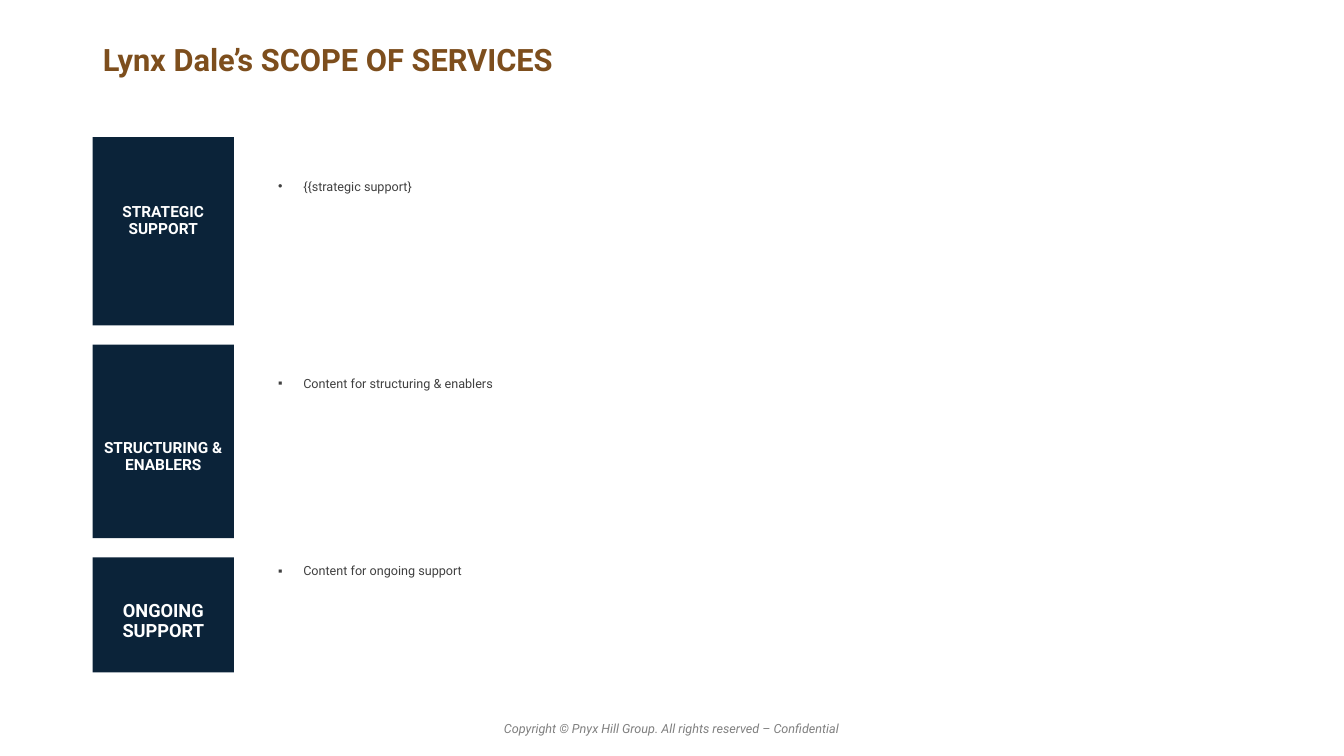
from dataclasses import dataclass

from lxml.etree import SubElement
from pptx import Presentation
from pptx.dml.color import RGBColor
from pptx.enum.shapes import MSO_SHAPE
from pptx.enum.text import MSO_ANCHOR, MSO_AUTO_SIZE, PP_ALIGN
from pptx.oxml.ns import qn
from pptx.slide import Slide
from pptx.text.text import TextFrame, _Paragraph
from pptx.util import Inches, Pt

WIDE, HIGH = Inches(13.33), Inches(7.5)
FACE = "Roboto"
COLOR = {
    "navy": "0B2339",
    "brown": "7D4E1D",
    "white": "FFFFFF",
    "body": "404040",
    "grey": "808080",
}
LEFT = 6.9
LABEL = 10.5
TEXT = 19.95
SPAN = 75.7
PAD = 0.05


@dataclass(frozen=True)
class Box:
    left: float
    top: float
    width: float
    height: float

    def place(self) -> tuple[int, int, int, int]:
        return (
            int(WIDE * self.left / 100),
            int(HIGH * self.top / 100),
            int(WIDE * self.width / 100),
            int(HIGH * self.height / 100),
        )


@dataclass(frozen=True)
class Style:
    size: float
    color: str
    bold: bool = False
    slant: bool = False


@dataclass(frozen=True)
class Service:
    label: str
    size: float
    top: float
    height: float
    shift: float
    note: str
    note_top: float
    note_height: float
    note_pad: float
    mark: str
    line: float


SERVICES = [
    Service("STRATEGIC SUPPORT", 11, 18.13, 24.93, -0.21,
            "{{strategic support}", 18.13, 24.93, 0.43, "•", 0.9),
    Service("STRUCTURING & ENABLERS", 11, 45.6, 25.6, 0.31,
            "Content for structuring & enablers", 48.67, 24.93, PAD, "▪", 1.2),
    Service("ONGOING SUPPORT", 13, 73.73, 15.2, 0.13,
            "Content for ongoing support", 73.47, 8.4, PAD, "▪", 1.2),
]


def write(para: _Paragraph, text: str, style: Style) -> None:
    run = para.add_run()
    run.text = text
    font = run.font
    font.name = FACE
    font.size = Pt(style.size)
    font.bold = style.bold
    font.italic = style.slant
    font.color.rgb = RGBColor.from_string(COLOR[style.color])


def setup(frame: TextFrame, anchor: MSO_ANCHOR) -> _Paragraph:
    frame.auto_size = MSO_AUTO_SIZE.NONE
    frame.word_wrap = True
    frame.vertical_anchor = anchor
    return frame.paragraphs[0]


def add_title(slide: Slide, text: str, box: Box) -> None:
    title = slide.shapes.title
    title.left, title.top, title.width, title.height = box.place()
    para = setup(title.text_frame, MSO_ANCHOR.TOP)
    para.alignment = PP_ALIGN.LEFT
    para.line_spacing = 0.9
    write(para, text, Style(22, "brown", bold=True))


def add_label(slide: Slide, item: Service) -> None:
    box = Box(LEFT, item.top, LABEL, item.height)
    shape = slide.shapes.add_shape(MSO_SHAPE.RECTANGLE, *box.place())
    shape.shadow.inherit = False
    shape.fill.solid()
    shape.fill.fore_color.rgb = RGBColor.from_string(COLOR["navy"])
    shape.line.fill.background()
    frame = shape.text_frame
    para = setup(frame, MSO_ANCHOR.MIDDLE)
    frame.margin_top = Inches(PAD + max(item.shift, 0))
    frame.margin_bottom = Inches(PAD + max(-item.shift, 0))
    para.alignment = PP_ALIGN.CENTER
    para.line_spacing = 0.9
    write(para, item.label, Style(item.size, "white", bold=True))


def add_note(slide: Slide, item: Service) -> None:
    box = Box(TEXT, item.note_top, SPAN, item.note_height)
    frame = slide.shapes.add_textbox(*box.place()).text_frame
    para = setup(frame, MSO_ANCHOR.TOP)
    frame.margin_top = Inches(item.note_pad)
    para.line_spacing = item.line
    para.space_after = Pt(6)
    props = para._p.get_or_add_pPr()
    props.set("marL", str(Inches(0.25)))
    props.set("indent", str(-Inches(0.25)))
    SubElement(props, qn("a:buFont")).set("typeface", "Arial")
    SubElement(props, qn("a:buChar")).set("char", item.mark)
    write(para, item.note, Style(9, "body"))


def add_foot(slide: Slide, text: str, box: Box) -> None:
    frame = slide.shapes.add_textbox(*box.place()).text_frame
    para = setup(frame, MSO_ANCHOR.TOP)
    para.alignment = PP_ALIGN.CENTER
    write(para, text, Style(9, "grey", slant=True))


def main() -> None:
    deck = Presentation()
    deck.slide_width, deck.slide_height = WIDE, HIGH
    slide = deck.slides.add_slide(deck.slide_layouts[5])
    add_foot(slide, "Copyright © Pnyx Hill Group. All rights reserved – Confidential",
             Box(29.7, 94.67, 40.5, 3.33))
    add_title(slide, "Lynx Dale’s SCOPE OF SERVICES", Box(LEFT, 5.33, 86.2, 12))
    for item in SERVICES:
        add_label(slide, item)
        add_note(slide, item)
    deck.save("out.pptx")


if __name__ == "__main__":
    main()
